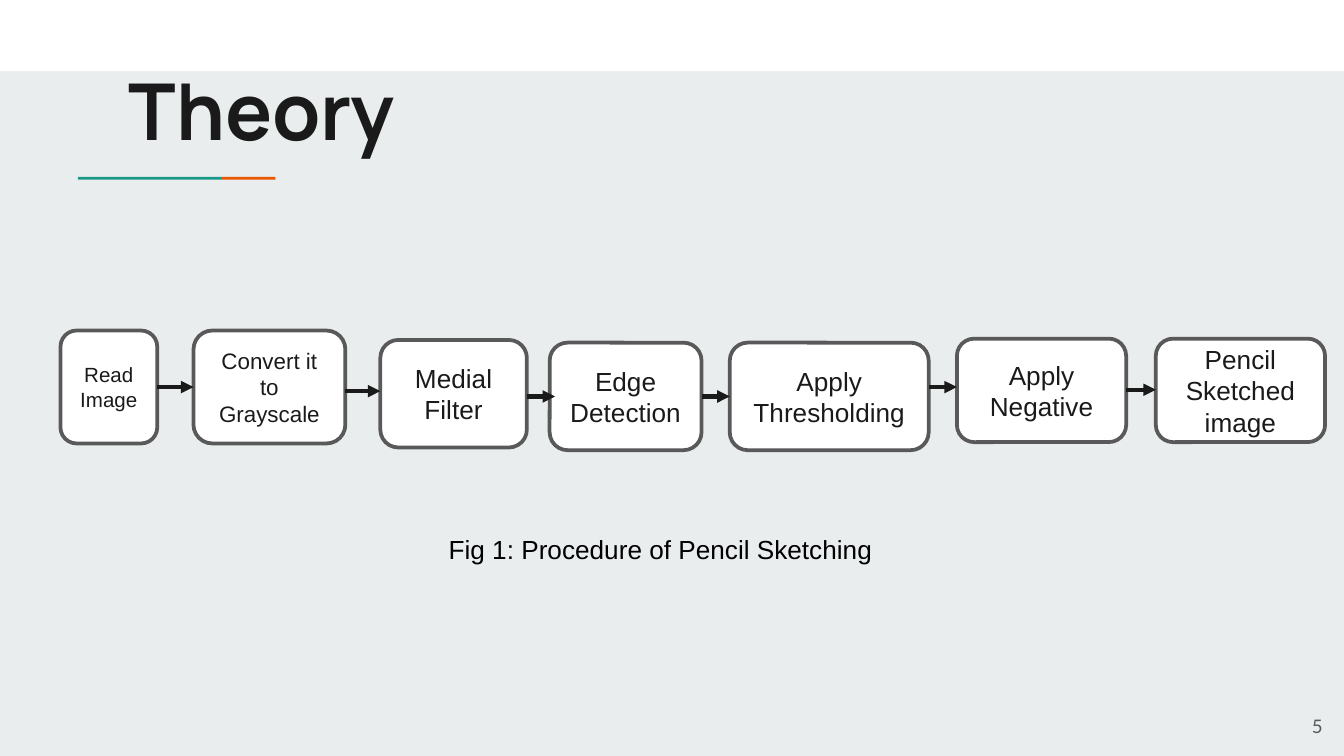
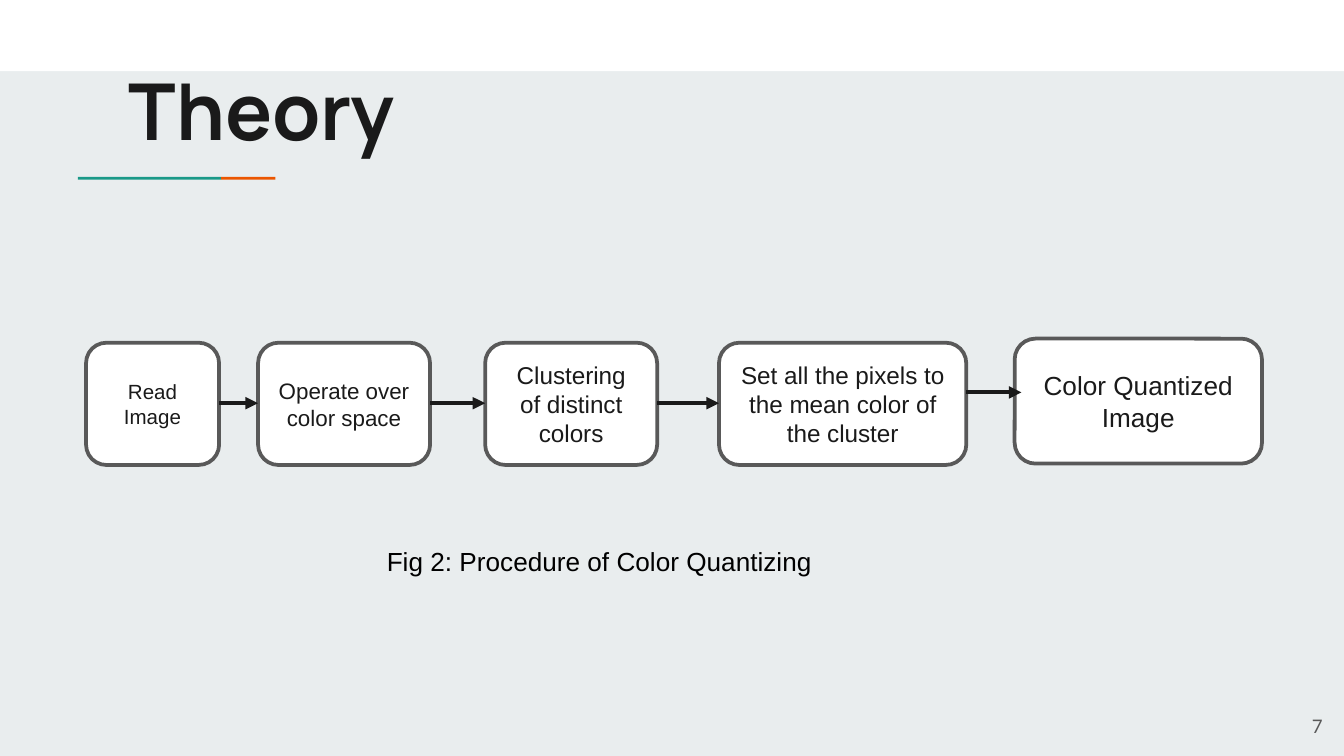
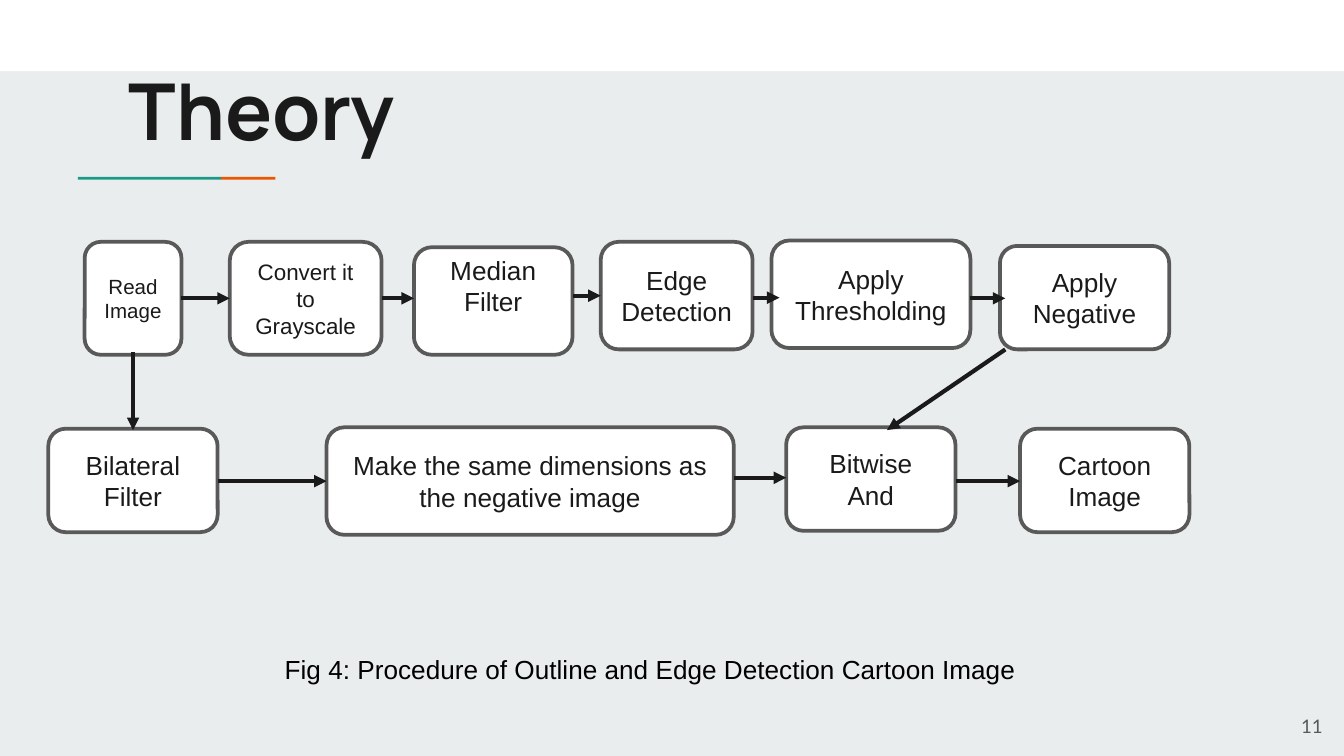
"""Build three slides of image-processing flow diagrams."""
from dataclasses import dataclass

from lxml.etree import SubElement
from pptx import Presentation
from pptx.dml.color import RGBColor as RGB
from pptx.enum.shapes import MSO_CONNECTOR as Conn, MSO_SHAPE as Shape
from pptx.enum.text import MSO_ANCHOR as Anchor, PP_ALIGN as Align
from pptx.oxml.ns import qn
from pptx.util import Inches, Pt


@dataclass(frozen=True)
class Theme:
    """Colours, fonts, type sizes, line widths and grid of the deck."""
    ground: str = "E9EDEE"
    white: str = "FFFFFF"
    ink: str = "1A1A1A"
    black: str = "000000"
    grey: str = "595959"
    teal: str = "1A9988"
    orange: str = "EB5600"
    title_font: str = "Manrope"
    body_font: str = "Arial"
    number_font: str = "Lato"
    title: int = 42
    large: int = 14
    medium: int = 13
    small: int = 12
    tiny: int = 11
    number: int = 10
    border: float = 2
    arrow: float = 2.25
    columns: float = 100
    rows: float = 56.25


T = Theme()


def set_all(obj, values):
    """Set every attribute named in a dict of format values."""
    for name, value in values.items():
        setattr(obj, name, value)


class Deck:
    """Hold the presentation, its theme and the current slide."""

    def __init__(self, theme):
        """Start an empty 16:9 presentation."""
        self.t, self.prs = theme, Presentation()
        set_all(self.prs, {"slide_width": Inches(10), "slide_height": Inches(5.625)})

    def x(self, columns):
        """Convert grid columns to a length."""
        return round(self.prs.slide_width * columns / self.t.columns)

    def y(self, rows):
        """Convert grid rows to a length."""
        return round(self.prs.slide_height * rows / self.t.rows)

    def place(self, left, top, width, height):
        """Convert a grid rectangle to lengths."""
        return self.x(left), self.y(top), self.x(width), self.y(height)

    def label(self, sp, text, size, font, color, align=Align.LEFT,
              anchor=Anchor.TOP, bold=False, pad=None, bottom=None):
        """Fill a shape with one formatted run."""
        tf = sp.text_frame
        set_all(tf, {"word_wrap": True, "vertical_anchor": anchor})
        if pad is not None:
            sides = ("left", "top", "right", "bottom")
            set_all(tf, {f"margin_{side}": self.x(pad) for side in sides})
        if bottom is not None:
            tf.margin_bottom = self.y(bottom)
        p = tf.paragraphs[0]
        p.alignment = align
        r = p.add_run()
        r.text = text
        set_all(r.font, {"size": Pt(size), "name": font, "bold": bold})
        r.font.color.rgb = RGB.from_string(color)

    def text(self, rect, *words, **style):
        """Add a text box."""
        self.label(self.s.shapes.add_textbox(*self.place(*rect)), *words, **style)

    def shape(self, kind, rect, fill, border=None):
        """Add a filled preset shape."""
        sp = self.s.shapes.add_shape(kind, *self.place(*rect))
        sp.shadow.inherit = False
        sp.fill.solid()
        sp.fill.fore_color.rgb = RGB.from_string(fill)
        if border:
            sp.line.color.rgb = RGB.from_string(border)
            sp.line.width = Pt(self.t.border)
        else:
            sp.line.fill.background()
        return sp

    def arrow(self, x1, y1, x2, y2):
        """Add a straight arrow between two grid points."""
        c = self.s.shapes.add_connector(
            Conn.STRAIGHT, self.x(x1), self.y(y1), self.x(x2), self.y(y2))
        c.line.color.rgb = RGB.from_string(self.t.ink)
        c.line.width = Pt(self.t.arrow)
        pr = c._element.spPr
        SubElement(pr.find(qn("a:ln")), qn("a:tailEnd"), type="triangle")
        SubElement(pr, qn("a:effectLst"))

    def slide(self, title, caption, caption_rect, number):
        """Add a slide with its band, title, underline, caption and number."""
        t = self.t
        self.s = self.prs.slides.add_slide(self.prs.slide_layouts[6])
        self.s.background.fill.solid()
        self.s.background.fill.fore_color.rgb = RGB.from_string(t.ground)
        for rect, color in (((0, 0, t.columns, 5.3), t.white),
                            ((5.8, 13.17, 10.65, 0.2), t.teal),
                            ((16.45, 13.17, 4.05, 0.2), t.orange)):
            self.shape(Shape.RECTANGLE, rect, color)
        self.text((8.6, 3.6, 84.1, 9.1), title, t.title, t.title_font, t.ink,
                  anchor=Anchor.MIDDLE, bold=True, pad=1)
        self.text(caption_rect, caption, t.large, t.body_font, t.black)
        self.text((93.4, 51.9, 6, 4.3), str(number), t.number, t.number_font,
                  t.grey, align=Align.RIGHT, anchor=Anchor.MIDDLE, pad=1)

    def flow(self, *steps):
        """Draw boxes, then join each to the next at the height it asks for."""
        t = self.t
        for words, left, top, (width, height, size), _, extra in steps:
            sp = self.shape(Shape.ROUNDED_RECTANGLE, (left, top, width, height),
                            t.white, t.grey)
            self.label(sp, words, size, t.body_font, t.ink, align=Align.CENTER,
                       anchor=Anchor.MIDDLE, bottom=extra.get("bottom"))
        for before, after in zip(steps, steps[1:]):
            level, reach = after[4], after[5].get("reach", 0)
            self.arrow(before[1] + before[3][0], level, after[1] + reach, level)


def step(words, left, top, box, level=None, **extra):
    """Describe a box and the row at which an arrow enters it."""
    return words, left, top, box, level, extra


READ = (7.2, 8.4, T.tiny)
CONVERT = (11.3, 8.4, T.small)
MEDIAL = (10.9, 8, T.large)
MEDIAN = (11.8, 8, T.large)
DETECT = (11.3, 8, T.large)
THRESHOLD = (14.8, 8, T.large)
RESULT = (12.6, 7.7, T.large)
RESIZE = (30.3, 8, T.large)


def sketching(d):
    """Draw the pencil sketching procedure."""
    d.slide("Theory", "Fig 1: Procedure of Pencil Sketching", (32.4, 39.2, 36.4, 3.4), 5)
    d.flow(step("Read Image", 4.5, 24.6, READ),
           step("Convert it to Grayscale", 14.4, 24.6, CONVERT, 28.8),
           step("Medial Filter", 28.3, 25.3, MEDIAL, 29.1),
           step("Edge Detection", 40.9, 25.5, DETECT, 29.5, reach=0.4),
           step("Apply Thresholding", 54.3, 25.5, THRESHOLD, 29.5),
           step("Apply Negative", 71.2, 25.2, RESULT, 28.8),
           step("Pencil Sketched image", 86, 25.2, RESULT, 29))


def quantizing(d):
    """Draw the color quantizing procedure."""
    d.slide("Theory", "Fig 2: Procedure of Color Quantizing", (27.8, 40.1, 36.4, 3.4), 7)
    top, height, level = 25.5, 9.1, 30
    d.flow(step("Read Image", 6.4, top, (9.9, height, T.tiny)),
           step("Operate over color space", 19.2, top, (12.8, height, T.small), level),
           step("Clustering of distinct colors", 36.1, top,
                (12.8, height, T.medium), level),
           step("Set all the pixels to the mean color of the cluster", 53.5, top,
                (18.4, height, T.medium), level),
           step("Color Quantized Image", 75.5, 25.2, (18.4, 9.3, T.large), 29.2, reach=0.5))


def cartoon(d):
    """Draw the cartoon image procedure in two joined rows."""
    d.slide("Theory", "Fig 4: Procedure of Outline and Edge Detection Cartoon Image",
            (20.2, 48.1, 60.5, 3.4), 11)
    d.flow(step("Read Image", 6.3, 18, READ),
           step("Convert it to Grayscale", 17.1, 18, CONVERT, 22.2),
           step("Median Filter", 30.8, 18.4, MEDIAN, 22.2, bottom=2.8),
           step("Edge Detection", 44.7, 18, DETECT, 22),
           step("Apply Thresholding", 57.4, 17.9, THRESHOLD, 22.15, reach=0.6),
           step("Apply Negative", 74.4, 18.3, RESULT, 22.2, reach=0.4))
    d.flow(step("Bilateral Filter", 3.6, 31.9, RESULT),
           step("Make the same dimensions as the negative image", 24.3, 31.8, RESIZE, 35.8),
           step("Bitwise And", 58.5, 31.8, RESULT, 35.55),
           step("Cartoon Image", 75.9, 31.9, RESULT, 35.8))
    d.arrow(9.9, 26.2, 9.9, 32)
    d.arrow(74.8, 26, 66, 32)


def main():
    """Build and save the deck."""
    d = Deck(T)
    for draw in (sketching, quantizing, cartoon):
        draw(d)
    d.prs.save("out.pptx")


if __name__ == "__main__":
    main()
